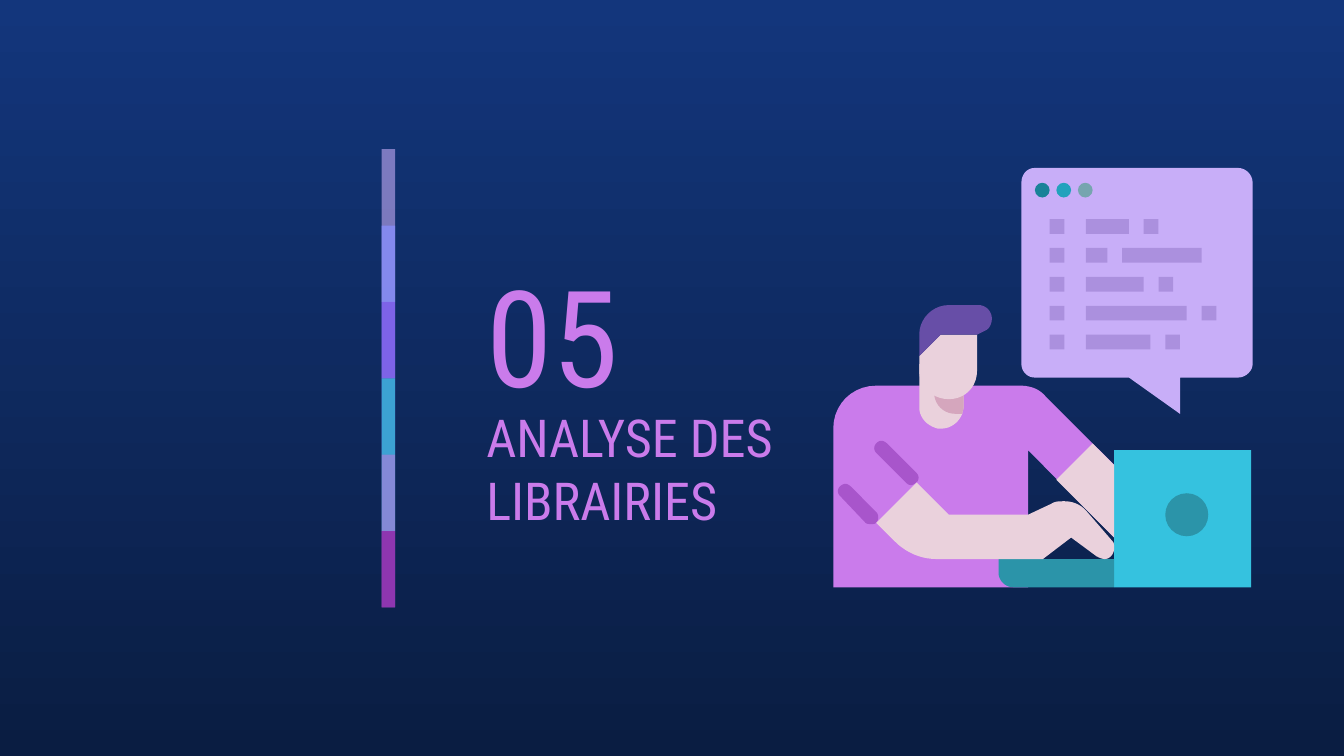
from dataclasses import dataclass

from lxml import etree
from pptx import Presentation
from pptx import util as u
from pptx.dml.color import RGBColor
from pptx.enum import shapes, text
from pptx.oxml.ns import qn


@dataclass(frozen=True)
class Theme:
    font: str = "Roboto Condensed"
    number_size: int = 72
    title_size: int = 28
    night_top: str = "13367C"
    night_bottom: str = "0A1D42"
    orchid: str = "CA7BEB"
    fold: str = "A855CB"
    skin: str = "EAD1DC"
    neck_shade: str = "D5A6BD"
    hair: str = "674EA7"
    cyan: str = "35C2DF"
    teal: str = "2B94A9"
    lilac: str = "C8AEF8"
    code: str = "AB90DE"
    dots: tuple = ("198298", "22A2BC", "76A5AF")
    # colour and opacity in percent
    strip: tuple = (("C8AEF8", 59), ("878FFF", 74), ("9154F8", 53),
                    ("35C2DF", 76), ("CA7BEB", 56), ("972CB4", 74))


def inches(value):
    """The design grid is in inches; lengths are set in centimetres."""
    return u.Cm(value * 2.54)


def flatten(start, segments, steps=10):
    """Turn lines (x, y) and cubic curves (x1, y1, x2, y2, x, y) into points."""
    points = [start]
    for segment in segments:
        if len(segment) == 2:
            points.append(segment)
            continue
        x0, y0 = points[-1]
        x1, y1, x2, y2, x3, y3 = segment
        for step in range(1, steps + 1):
            t = step / steps
            s = 1 - t
            a, b, c, d = s**3, 3 * s * s * t, 3 * s * t * t, t**3
            points.append((a * x0 + b * x1 + c * x2 + d * x3,
                           a * y0 + b * y1 + c * y2 + d * y3))
    return points


class Painter:
    def __init__(self, slide, theme):
        self.slide = slide
        self.theme = theme

    def background(self):
        fill = self.slide.background.fill
        fill.gradient()
        fill.gradient_angle = 270
        colors = (self.theme.night_top, self.theme.night_bottom)
        for stop, color, position in zip(fill.gradient_stops, colors, (0, 1)):
            stop.color.rgb = RGBColor.from_string(color)
            stop.position = position

    def paint(self, shape, color, opacity=100):
        shape.shadow.inherit = False
        shape.line.fill.background()
        shape.fill.solid()
        shape.fill.fore_color.rgb = RGBColor.from_string(color)
        if opacity < 100:
            color_node = shape.element.spPr.find(qn("a:solidFill"))[0]
            alpha = etree.SubElement(color_node, qn("a:alpha"))
            alpha.set("val", str(opacity * 1000))

    def preset(self, kind, left, top, width, height, color, opacity=100):
        box = map(inches, (left, top, width, height))
        shape = self.slide.shapes.add_shape(kind, *box)
        self.paint(shape, color, opacity)

    def rectangle(self, *args):
        self.preset(shapes.MSO_SHAPE.RECTANGLE, *args)

    def circle(self, left, top, size, color):
        self.preset(shapes.MSO_SHAPE.OVAL, left, top, size, size, color)

    def outline(self, color, start, *segments):
        points = [(inches(x), inches(y)) for x, y in flatten(start, segments)]
        builder = self.slide.shapes.build_freeform(*points[0])
        builder.add_line_segments(points[1:], close=True)
        self.paint(builder.convert_to_shape(), color)

    def heading(self, words, left, top, width, height, size):
        box = map(inches, (left, top, width, height))
        frame = self.slide.shapes.add_textbox(*box).text_frame
        frame.word_wrap = True
        frame.vertical_anchor = text.MSO_ANCHOR.MIDDLE
        frame.margin_left = frame.margin_right = inches(0.1)
        frame.margin_top = frame.margin_bottom = inches(0.1)
        paragraph = frame.paragraphs[0]
        paragraph.text = words
        paragraph.font.name = self.theme.font
        paragraph.font.size = u.Pt(size)
        paragraph.font.color.rgb = RGBColor.from_string(self.theme.orchid)


def draw_strip(painter):
    """Translucent bars, each two steps tall so that neighbours overlap."""
    bars = painter.theme.strip
    top, bottom = 1.11, 4.52
    step = (bottom - top) / len(bars)
    for index, (color, opacity) in enumerate(bars):
        height = step if index == len(bars) - 1 else 2 * step
        painter.rectangle(2.84, top + index * step, 0.1, height, color, opacity)


def draw_body(painter):
    theme = painter.theme
    painter.outline(theme.orchid, (6.52, 2.87), (6.34, 2.87, 6.2, 3.01, 6.2, 3.19),
                    (6.2, 4.37), (7.65, 4.37), (7.65, 3.35), (8.29, 4), (8.29, 3.46),
                    (7.78, 2.95), (7.73, 2.89, 7.66, 2.87, 7.59, 2.87))
    painter.outline(theme.fold, (6.29, 3.6), (6.28, 3.6, 6.26, 3.61, 6.25, 3.62),
                    (6.23, 3.64, 6.23, 3.67, 6.25, 3.69), (6.44, 3.89),
                    (6.45, 3.9, 6.47, 3.9, 6.48, 3.9), (6.5, 3.9, 6.51, 3.9, 6.52, 3.89),
                    (6.54, 3.87, 6.54, 3.83, 6.52, 3.81), (6.33, 3.62),
                    (6.32, 3.61, 6.3, 3.6, 6.29, 3.6))
    painter.outline(theme.fold, (6.56, 3.28), (6.54, 3.28, 6.53, 3.29, 6.52, 3.3),
                    (6.5, 3.32, 6.5, 3.35, 6.52, 3.37), (6.74, 3.59),
                    (6.75, 3.6, 6.76, 3.61, 6.78, 3.61), (6.79, 3.61, 6.81, 3.6, 6.82, 3.59),
                    (6.84, 3.57, 6.84, 3.54, 6.82, 3.52), (6.6, 3.3),
                    (6.59, 3.29, 6.57, 3.28, 6.56, 3.28))


def draw_laptop(painter):
    theme = painter.theme
    painter.rectangle(8.29, 3.35, 1.02, 1.02, theme.cyan)
    painter.outline(theme.teal, (7.43, 4.16), (7.43, 4.26),
                    (7.43, 4.32, 7.48, 4.37, 7.54, 4.37), (8.29, 4.37), (8.29, 4.16))


def draw_neck_and_arms(painter):
    theme = painter.theme
    painter.outline(theme.skin, (6.84, 2.71), (6.84, 3.03),
                    (6.84, 3.11, 6.9, 3.17, 6.98, 3.19), (6.99, 3.19, 7, 3.19, 7, 3.19),
                    (7.07, 3.19, 7.13, 3.15, 7.16, 3.08),
                    (7.16, 3.06, 7.17, 3.05, 7.17, 3.03), (7.17, 2.71))
    painter.outline(theme.neck_shade, (6.95, 2.71), (6.95, 2.92),
                    (6.95, 3.01, 7.02, 3.08, 7.11, 3.08), (7.16, 3.08),
                    (7.16, 3.06, 7.17, 3.05, 7.17, 3.03), (7.17, 2.71))
    painter.outline(theme.skin, (6.82, 3.59), (6.52, 3.89), (6.66, 4.03),
                    (6.74, 4.11, 6.85, 4.16, 6.97, 4.16), (7.76, 4.16), (7.97, 4),
                    (8.16, 4.14), (8.18, 4.15, 8.2, 4.16, 8.22, 4.16),
                    (8.26, 4.16, 8.29, 4.12, 8.29, 4.08),
                    (8.29, 4.06, 8.29, 4.04, 8.28, 4.03), (8.09, 3.81),
                    (8.05, 3.76, 7.99, 3.73, 7.92, 3.73),
                    (7.88, 3.73, 7.85, 3.73, 7.82, 3.75), (7.65, 3.83), (7.06, 3.83))
    painter.outline(theme.skin, (8.13, 3.3), (7.86, 3.57), (8.29, 4), (8.29, 3.46))
    painter.circle(8.67, 3.67, 0.32, theme.teal)


def draw_code_bubble(painter):
    theme = painter.theme
    painter.outline(theme.lilac, (7.7, 1.25), (7.64, 1.25, 7.6, 1.3, 7.6, 1.36),
                    (7.6, 2.71), (7.6, 2.76, 7.64, 2.81, 7.7, 2.81), (8.4, 2.81),
                    (8.78, 3.08), (8.78, 2.81), (9.21, 2.81),
                    (9.27, 2.81, 9.32, 2.76, 9.32, 2.71), (9.32, 1.36),
                    (9.32, 1.3, 9.27, 1.25, 9.21, 1.25))
    size = 0.11
    # left and width of the two words that follow each row's bullet
    rows = (((8.08, 0.32), (8.51, size)), ((8.08, 0.16), (8.35, 0.59)),
            ((8.08, 0.43), (8.62, size)), ((8.08, 0.75), (8.94, size)),
            ((8.08, 0.48), (8.67, size)))
    pitch = (2.49 - 1.63) / (len(rows) - 1)
    for row, words in enumerate(rows):
        for left, width in ((7.81, size), *words):
            painter.rectangle(left, 1.63 + row * pitch, width, size, theme.code)


def draw_head(painter):
    theme = painter.theme
    painter.outline(theme.skin, (7, 2.49), (6.84, 2.65), (6.84, 2.76),
                    (6.84, 2.88, 6.94, 2.97, 7.06, 2.97),
                    (7.18, 2.97, 7.27, 2.88, 7.27, 2.76), (7.27, 2.49))
    painter.outline(theme.hair, (7.06, 2.27), (6.94, 2.27, 6.84, 2.37, 6.84, 2.49),
                    (6.84, 2.65), (7, 2.49), (7.27, 2.49), (7.33, 2.46),
                    (7.36, 2.45, 7.38, 2.41, 7.38, 2.37),
                    (7.38, 2.32, 7.34, 2.27, 7.28, 2.27))


def draw_window_dots(painter):
    for index, color in enumerate(painter.theme.dots):
        painter.circle(7.7 + index * 0.16, 1.36, 0.11, color)


def main():
    presentation = Presentation()
    presentation.slide_width = u.Cm(25.4)
    presentation.slide_height = presentation.slide_width * 9 // 16
    slide = presentation.slides.add_slide(presentation.slide_layouts[6])
    theme = Theme()
    painter = Painter(slide, theme)
    painter.background()
    draw_strip(painter)
    painter.heading("05", 3.52, 1.81, 1.75, 1.35, theme.number_size)
    painter.heading("ANALYSE DES LIBRAIRIES", 3.52, 3.15, 2.87, 0.67, theme.title_size)
    for draw in (draw_body, draw_laptop, draw_neck_and_arms, draw_code_bubble,
                 draw_head, draw_window_dots):
        draw(painter)
    presentation.save("out.pptx")


if __name__ == "__main__":
    main()
